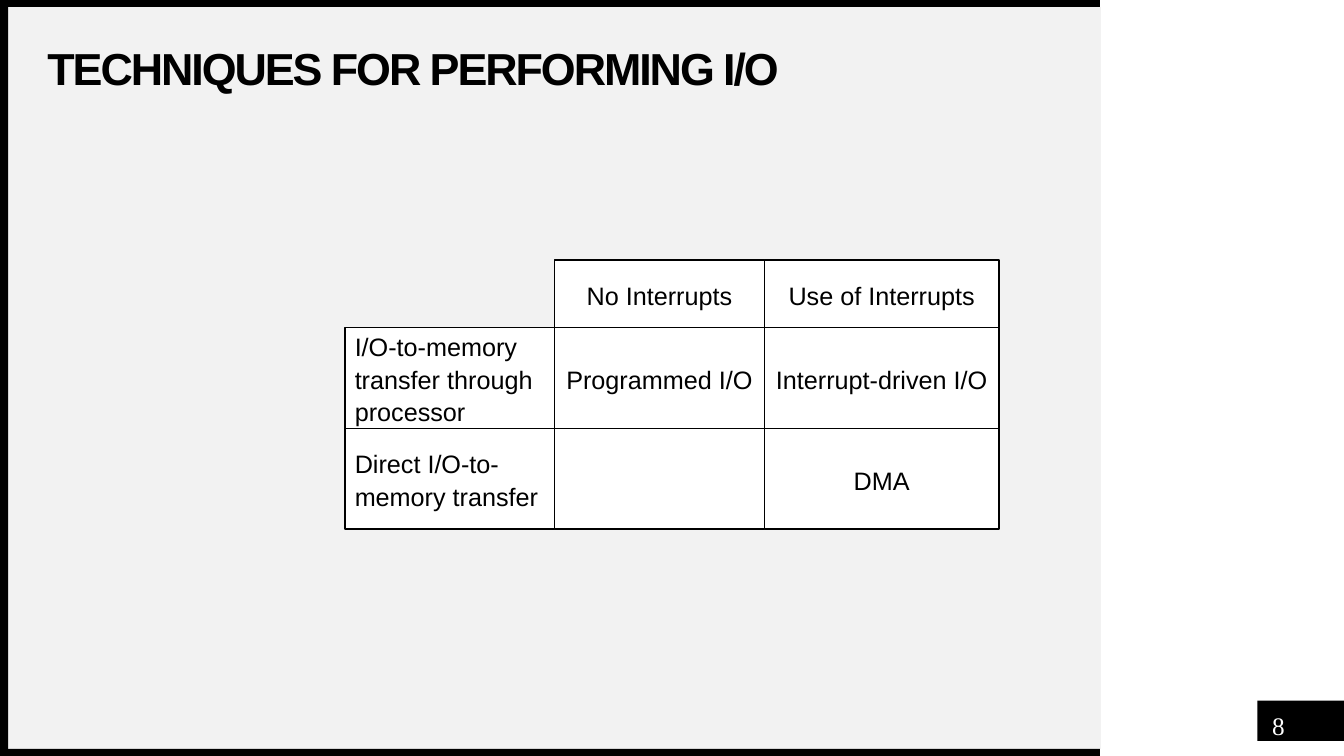
"""Build the slide on techniques for performing I/O."""
from dataclasses import dataclass

import pptx
import pptx.dml.color
import pptx.enum.shapes
import pptx.enum.text
import pptx.util
from pptx.util import Inches

BLACK = "000000"
WHITE = "FFFFFF"
CENTER = pptx.enum.text.PP_ALIGN.CENTER
LEFT = pptx.enum.text.PP_ALIGN.LEFT
MIDDLE = pptx.enum.text.MSO_ANCHOR.MIDDLE


@dataclass
class Panel:
    left: float
    top: float
    width: float
    height: float
    color: str


PANELS = [
    Panel(0.08, 0.07, 10.84, 7.36, "F2F2F2"),
    Panel(12.47, 6.95, 0.86, 0.4, BLACK),
    Panel(0, 7.43, 10.91, 0.07, BLACK),
    Panel(0, 0, 10.91, 0.07, BLACK),
    Panel(0, 0, 0.08, 7.5, BLACK),
    Panel(10.99, 6.83, 1.45, 0.59, WHITE),
]
TECHNIQUES = [
    [None, "No Interrupts", "Use of Interrupts"],
    ["I/O-to-memory transfer through processor", "Programmed I/O", "Interrupt-driven I/O"],
    ["Direct I/O-to-memory transfer", "", "DMA"],
]
GRID_LEFT, GRID_TOP = 3.42, 2.58
COLUMN_WIDTHS = [2.08, 2.08, 2.33]
ROW_HEIGHTS = [0.67, 1, 1]


def rgb(color: str) -> pptx.dml.color.RGBColor:
    """Convert a hex string to a colour."""
    return pptx.dml.color.RGBColor.from_string(color)


def format_font(paragraph, name: str, size: float, color: str, bold: bool = False) -> None:
    """Set the font of a whole paragraph."""
    font = paragraph.font
    font.name, font.size, font.bold = name, pptx.util.Pt(size), bold
    font.color.rgb = rgb(color)


def add_panel(slide, panel: Panel):
    """Draw a plain filled rectangle and return it."""
    shape = slide.shapes.add_shape(
        pptx.enum.shapes.MSO_SHAPE.RECTANGLE,
        Inches(panel.left), Inches(panel.top), Inches(panel.width), Inches(panel.height),
    )
    shape.shadow.inherit = False
    shape.fill.solid()
    shape.fill.fore_color.rgb = rgb(panel.color)
    shape.line.fill.background()
    return shape


def format_title(title, text: str) -> None:
    """Place the title in front of the panels and style it."""
    title.element.getparent().append(title.element)
    title.left, title.top = Inches(0.47), Inches(0.47)
    title.width, title.height = Inches(10.06), Inches(0.47)
    frame = title.text_frame
    frame.text = text
    frame.margin_left = frame.margin_top = frame.margin_right = frame.margin_bottom = 0
    frame.vertical_anchor = MIDDLE
    frame.auto_size = pptx.enum.text.MSO_AUTO_SIZE.NONE
    paragraph = frame.paragraphs[0]
    paragraph.alignment = LEFT
    paragraph.line_spacing = 0.9
    format_font(paragraph, "Arial", 32, BLACK, bold=True)
    paragraph.runs[0].font._element.set("spc", "-150")


def add_cell(slide, panel: Panel, text: str, alignment) -> None:
    """Draw one outlined box of the grid with its text."""
    shape = add_panel(slide, panel)
    shape.line.color.rgb = rgb(BLACK)
    shape.line.width = pptx.util.Pt(1)
    if not text:
        return
    frame = shape.text_frame
    frame.word_wrap = True
    frame.vertical_anchor = MIDDLE
    frame.text = text
    paragraph = frame.paragraphs[0]
    paragraph.alignment = alignment
    paragraph.line_spacing = 1.08
    format_font(paragraph, "Arial", 18, BLACK)


def add_techniques_grid(slide) -> None:
    """Draw the boxes of I/O techniques, leaving the top-left corner open."""
    for row, (texts, height) in enumerate(zip(TECHNIQUES, ROW_HEIGHTS)):
        top = GRID_TOP + sum(ROW_HEIGHTS[:row])
        for column, (text, width) in enumerate(zip(texts, COLUMN_WIDTHS)):
            if text is None:
                continue
            left = GRID_LEFT + sum(COLUMN_WIDTHS[:column])
            alignment = CENTER if column else LEFT
            add_cell(slide, Panel(left, top, width, height, WHITE), text, alignment)


def add_page_number(slide, number: str) -> None:
    """Write the page number on its black tab."""
    box = slide.shapes.add_textbox(Inches(12.52), Inches(7), Inches(0.3), Inches(0.3))
    box.text_frame.word_wrap = True
    box.text_frame.text = number
    format_font(box.text_frame.paragraphs[0], "Times New Roman", 18, WHITE)


def main() -> None:
    """Build and save the presentation."""
    presentation = pptx.Presentation()
    presentation.slide_width, presentation.slide_height = Inches(13.33), Inches(7.5)
    slide = presentation.slides.add_slide(presentation.slide_layouts.get_by_name("Title Only"))
    for panel in PANELS:
        add_panel(slide, panel)
    format_title(slide.shapes.title, "TECHNIQUES FOR PERFORMING I/O")
    add_techniques_grid(slide)
    add_page_number(slide, "8")
    presentation.save("out.pptx")


if __name__ == "__main__":
    main()
